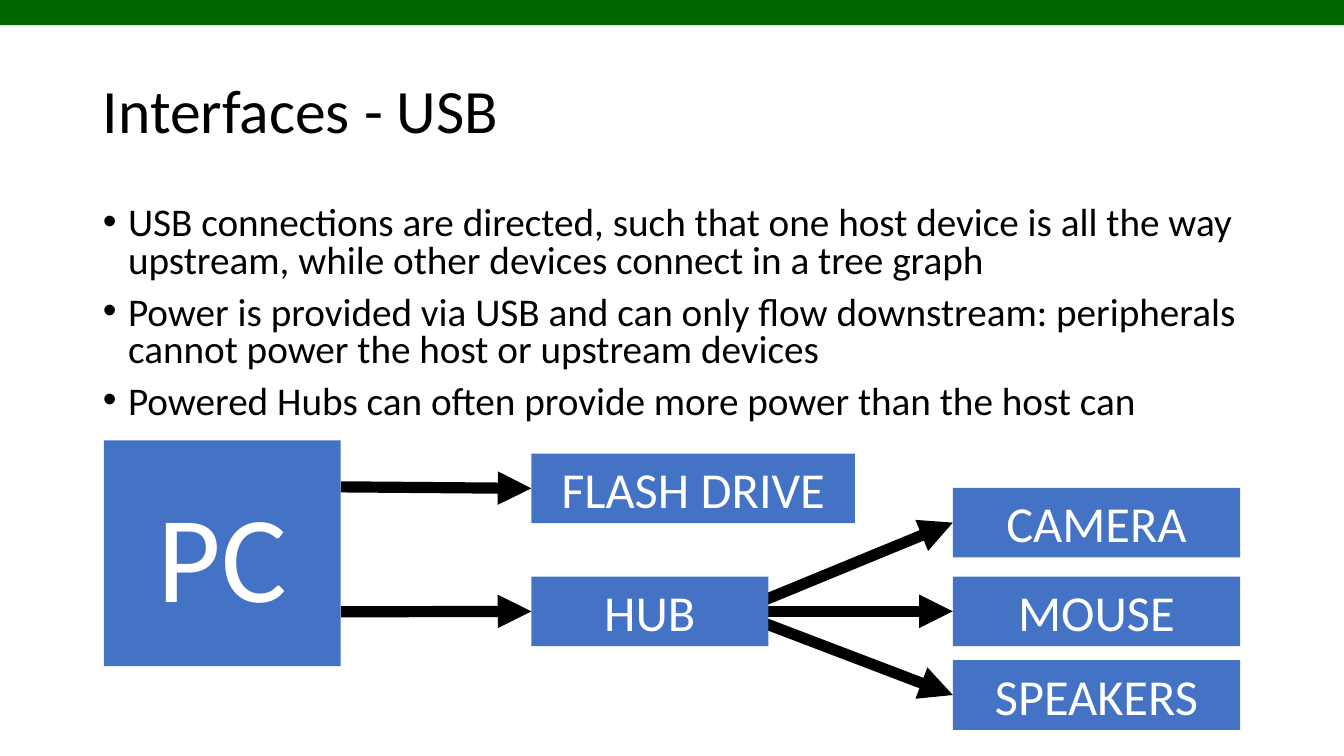
from lxml.etree import SubElement
from pptx import Presentation
from pptx.dml.color import RGBColor
from pptx.enum.shapes import MSO_CONNECTOR as Connector, MSO_SHAPE as Shape
from pptx.enum.text import MSO_ANCHOR as Anchor, MSO_AUTO_SIZE as AutoSize, PP_ALIGN as Align
from pptx.oxml.ns import qn
from pptx.util import Emu, Pt

PX = 9144  # 100 px to the inch
BLACK, WHITE, BLUE, GREEN = "000000", "FFFFFF", "4472C4", "006600"
LEFT, RIGHT = 1, 3  # connection sites of a rectangle
BOX_HEIGHT = 69

BULLETS = [
    "USB connections are directed, such that one host device is all the way "
    "upstream, while other devices connect in a tree graph",
    "Power is provided via USB and can only flow downstream: peripherals "
    "cannot power the host or upstream devices",
    "Powered Hubs can often provide more power than the host can",
]


def px(value):
    return Emu(value * PX)


def color(value):
    return RGBColor.from_string(value)


def place(shape, left, top, width, height):
    shape.left, shape.top = px(left), px(top)
    shape.width, shape.height = px(width), px(height)


def add_run(paragraph, text, size, text_color):
    run = paragraph.add_run()
    run.text = text
    run.font.name = "Calibri"
    run.font.size = Pt(size)
    run.font.color.rgb = color(text_color)


def fill_title(title, text):
    place(title, 92, 40, 1150, 145)
    title.text_frame.auto_size = AutoSize.NONE
    title.text_frame.vertical_anchor = Anchor.MIDDLE
    paragraph = title.text_frame.paragraphs[0]
    paragraph.alignment = Align.LEFT
    paragraph.line_spacing = 0.9
    add_run(paragraph, text, 44, BLACK)


def fill_bullets(body, items):
    place(body, 92, 200, 1150, 245)
    frame = body.text_frame
    frame.auto_size = AutoSize.NONE
    for index, item in enumerate(items):
        paragraph = frame.add_paragraph() if index else frame.paragraphs[0]
        properties = paragraph._p.get_or_add_pPr()
        properties.set("marL", str(px(25)))
        properties.set("indent", str(px(-25)))
        SubElement(properties, qn("a:buChar")).set("char", "•")
        paragraph.line_spacing = 0.8
        paragraph.space_before = Pt(10 if index else 0)
        add_run(paragraph, item, 28, BLACK)


def add_box(slide, left, top, width, height, fill, text="", size=36):
    box = slide.shapes.add_shape(
        Shape.RECTANGLE, px(left), px(top), px(width), px(height))
    box.shadow.inherit = False
    box.fill.solid()
    box.fill.fore_color.rgb = color(fill)
    box.line.fill.background()
    if text:
        box.text_frame.vertical_anchor = Anchor.MIDDLE
        paragraph = box.text_frame.paragraphs[0]
        paragraph.alignment = Align.CENTER
        add_run(paragraph, text, size, WHITE)
    return box


def add_arrow(slide, start, target, source=None):
    """Arrow from a point, or from a source box, to the left side of target."""
    arrow = slide.shapes.add_connector(
        Connector.STRAIGHT, px(start[0]), px(start[1]), px(0), px(0))
    if source is not None:
        arrow.begin_connect(source, RIGHT)
    arrow.end_connect(target, LEFT)
    arrow.line.width = Pt(8)
    arrow.line.color.rgb = color(BLACK)
    SubElement(arrow.line._get_or_add_ln(), qn("a:tailEnd")).set("type", "triangle")
    SubElement(arrow._element.spPr, qn("a:effectLst"))
    return arrow


def add_tree(slide):
    # Devices
    pc = add_box(slide, 103, 437, 235, 224, BLUE, "PC", 88)
    flash = add_box(slide, 527, 450, 321, BOX_HEIGHT, BLUE, "FLASH DRIVE")
    hub = add_box(slide, 527, 572, 235, BOX_HEIGHT, BLUE, "HUB")
    camera, mouse, speakers = [
        add_box(slide, 945, top, 285, BOX_HEIGHT, BLUE, name)
        for name, top in (("CAMERA", 484), ("MOUSE", 572), ("SPEAKERS", 655))]

    # Links, kept behind the boxes
    arrows = [
        add_arrow(slide, (338, 483), flash),
        add_arrow(slide, (338, 607), hub),
        add_arrow(slide, (742, 602), camera),
        add_arrow(slide, (762, 607), mouse, hub),
        add_arrow(slide, (760, 619), speakers),
    ]
    for arrow in arrows:
        pc._element.addprevious(arrow._element)


def main():
    presentation = Presentation()
    presentation.slide_width, presentation.slide_height = px(1333), px(750)
    slide = presentation.slides.add_slide(presentation.slide_layouts[1])

    # Text
    fill_title(slide.shapes.title, "Interfaces - USB")
    fill_bullets(slide.placeholders[1], BULLETS)

    # Diagram and top band
    add_tree(slide)
    add_box(slide, 0, 0, 1333, 25, GREEN)

    presentation.save("out.pptx")


if __name__ == "__main__":
    main()
